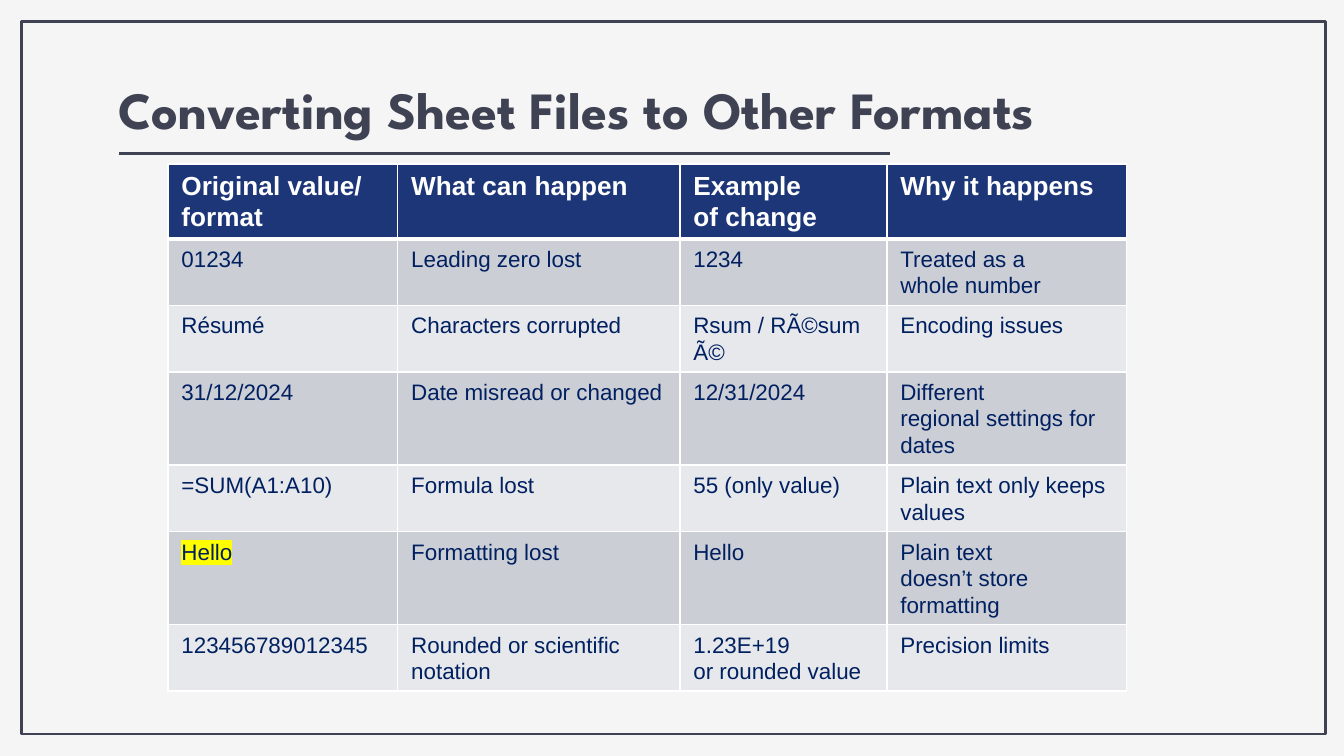
from dataclasses import dataclass

from lxml.etree import SubElement as sub
from pptx import Presentation
from pptx.dml.color import RGBColor
from pptx.enum.shapes import MSO_CONNECTOR as Link, MSO_SHAPE as Shape
from pptx.enum.text import MSO_ANCHOR as Anchor
from pptx.oxml import parse_xml
from pptx.oxml.ns import nsdecls, qn
from pptx.util import Pt

INK, WHITE = "3F4252", "FFFFFF"
TIE = chr(160)  # "~" in the cell text marks a space that does not break


@dataclass
class Style:
    size: float
    color: str
    bold: bool
    lead: float | None = None
    face: str = "Arial"


TITLE = Style(28, INK, True, face="League Spartan")
HEAD = Style(14, WHITE, True, 16.5)
BODY = Style(12, "002060", False, 14.2)

COLS = [123.1, 151.2, 110.9, 128.2]
ROWS = [
    ["Original~value/ format", "What can~happen", "Example of~change", "Why it happens"],
    ["01234", "Leading zero lost", "1234", "Treated as a whole~number"],
    ["Résumé", "Characters~corrupted", "Rsum~/~RÃ©sumÃ©", "Encoding issues"],
    ["31/12/2024", "Date misread or~changed", "12/31/2024",
     "Different regional~settings for dates"],
    ["=SUM(A1:A10)", "Formula lost", "55 (only value)", "Plain text only~keeps values"],
    ["Hello", "Formatting lost", "Hello", "Plain text doesn’t~store formatting"],
    ["123456789012345", "Rounded or~scientific notation", "1.23E+19 or~rounded value",
     "Precision limits"],
]
MARKED = (5, 0)


def tint(code: str) -> RGBColor:
    return RGBColor.from_string(code)


def write(frame, text: str, style: Style, mark: str | None = None) -> None:
    para = frame.paragraphs[0]
    if style.lead:
        para.line_spacing = Pt(style.lead)
    run = para.add_run()
    run.text = text.replace("~", TIE)
    font = run.font
    font.size, font.bold, font.name = Pt(style.size), style.bold, style.face
    font.color.rgb = tint(style.color)
    if mark:
        light = parse_xml(f'<a:highlight {nsdecls("a")}><a:srgbClr val="{mark}"/></a:highlight>')
        font.fill  # the highlight goes right after the text fill
        run._r.rPr.find(qn("a:solidFill")).addnext(light)


def edge(cell, top: float, base: float) -> None:
    props = cell._tc.get_or_add_tcPr()
    sides = [("L", 0.87), ("R", 0.87), ("T", top), ("B", base)]
    for spot, (side, width) in enumerate(sides):
        line = parse_xml(
            f'<a:ln{side} {nsdecls("a")} w="{Pt(width)}"><a:solidFill>'
            f'<a:srgbClr val="{WHITE}"/></a:solidFill></a:ln{side}>')
        props.insert(spot, line)


def stroke(line) -> None:
    line.color.rgb = tint(INK)
    line.width = Pt(1.5)


def draw_grid(slide) -> None:
    frame = slide.shapes.add_table(
        len(ROWS), len(COLS), Pt(90), Pt(87.8), Pt(sum(COLS)), Pt(279.4))
    grid = frame.table
    for col, width in zip(grid.columns, COLS):
        col.width = Pt(width)
    for r, texts in enumerate(ROWS):
        grid.rows[r].height = Pt(28.8)
        shade = "1C3678" if r == 0 else "CCCED6" if r % 2 else "E7E8EC"
        for c, text in enumerate(texts):
            cell = grid.cell(r, c)
            cell.fill.solid()
            cell.fill.fore_color.rgb = tint(shade)
            edge(cell, 2.63 if r == 1 else 0.87, 2.63 if r == 0 else 0.87)
            write(cell.text_frame, text, BODY if r else HEAD,
                  "FFFF00" if (r, c) == MARKED else None)
    frame.height = Pt(279.4)


def main() -> None:
    deck = Presentation()
    deck.slide_width, deck.slide_height = Pt(720), Pt(405)
    slide = deck.slides.add_slide(deck.slide_layouts[6])
    slide.background.fill.solid()
    slide.background.fill.fore_color.rgb = tint("F5F5F5")

    # Page border
    border = slide.shapes.add_shape(Shape.RECTANGLE, Pt(11.5), Pt(11.5), Pt(698.6), Pt(381.8))
    border.shadow.inherit = False
    border.fill.background()
    stroke(border.line)

    # Title
    box = slide.shapes.add_textbox(Pt(56.2), Pt(30.2), Pt(612.7), Pt(56.2))
    frame = box.text_frame
    frame.word_wrap = True
    frame.vertical_anchor = Anchor.MIDDLE
    frame.margin_left = frame.margin_right = Pt(7.2)
    frame.margin_top = frame.margin_bottom = Pt(7.2)
    write(frame, "Converting Sheet Files to Other Formats", TITLE)

    # Rule below the title
    rule = slide.shapes.add_connector(Link.STRAIGHT, Pt(64), Pt(82.1), Pt(476.6), Pt(82.1))
    stroke(rule.line)
    sub(rule._element.spPr, qn("a:effectLst"))

    # Table
    draw_grid(slide)
    deck.save("out.pptx")


if __name__ == "__main__":
    main()
